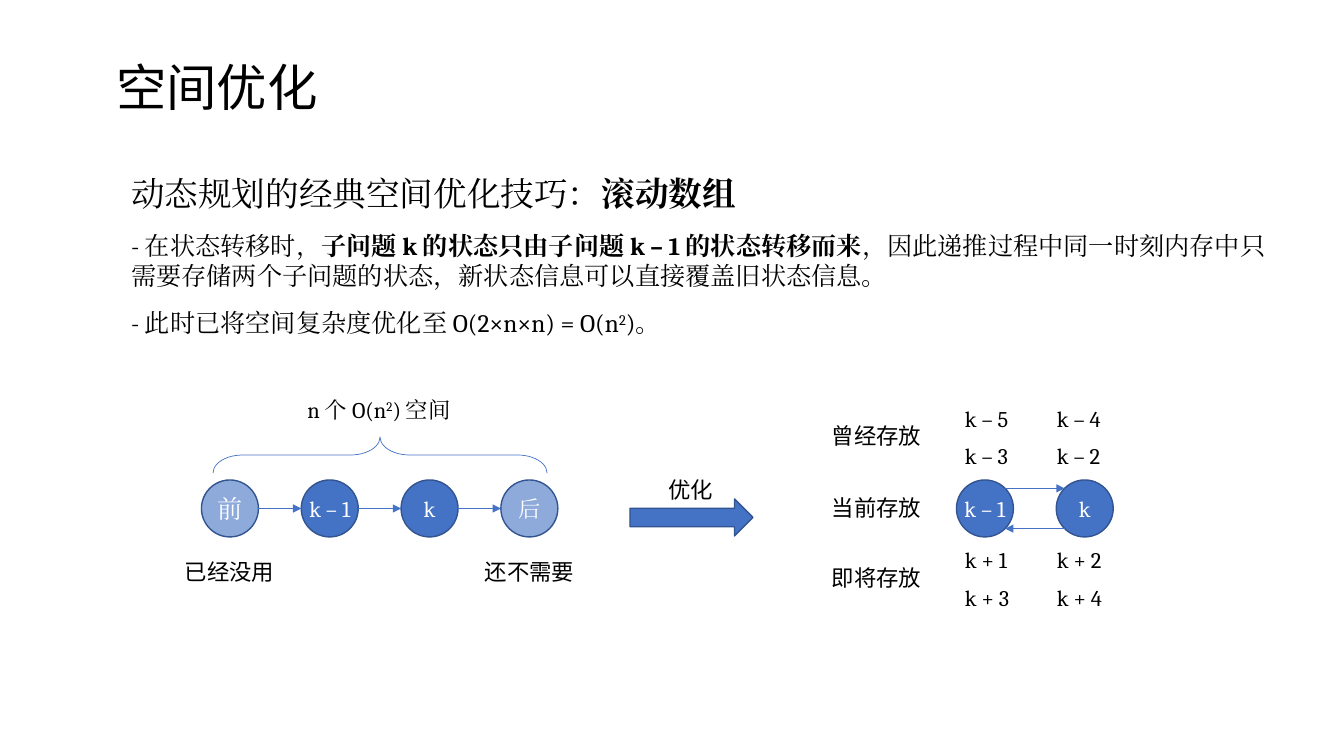
"""Build the slide on saving space with a rolling array."""
import math

import pptx
import pptx.chart.data
import pptx.dml.color
import pptx.enum.dml
import pptx.enum.shapes
import pptx.enum.text
import pptx.oxml
import pptx.oxml.ns
import pptx.util

SHAPE = pptx.enum.shapes.MSO_SHAPE
ALIGN = pptx.enum.text.PP_ALIGN
ANCHOR = pptx.enum.text.MSO_ANCHOR
NO_FIT = pptx.enum.text.MSO_AUTO_SIZE.NONE

THEME = {
    "serif": "Cambria", "sans": "Noto Sans CJK SC",
    "blue": "4472C4", "edge": "325491", "ink": "000000", "white": "FFFFFF",
    "title": 36, "heading": 24, "body": 18, "label": 16,
    "outline": 1, "thin": 0.5, "faded": 60000,
}

TITLE = "空间优化"
BODY = [
    ("heading", [("动态规划的经典空间优化技巧：", ""), ("滚动数组", "bold")]),
    ("body", [("- 在状态转移时，", ""),
              ("子问题 k 的状态只由子问题 k – 1 的状态转移而来", "bold"),
              ("，因此递推过程中同一时刻内存中只需要存储两个子问题的状态，新状态信息可以直接覆盖旧状态信息。", "")]),
    ("body", [("- 此时已将空间复杂度优化至 O(2×n×n) = O(n", ""), ("2", "super"), (")。", "")]),
]
SPACE_LABEL = [("n 个 O(n", ""), ("2", "super"), (") 空间", "")]
CHAIN = [("前", True, "body"), ("k – 1", False, "label"), ("k", False, "label"), ("后", True, "label")]
ROLLING = ["k – 1", "k"]
CAPTIONS = [("已经没用", 162, 553), ("还不需要", 462, 553), ("优化", 623, 471),
            ("曾经存放", 809, 417), ("当前存放", 809, 489), ("即将存放", 809, 559)]
STATES = [(400, ["k – 5", "k – 4"]), (437, ["k – 3", "k – 2"]),
          (541, ["k + 1", "k + 2"]), (579, ["k + 3", "k + 4"])]

PIXEL = 914400 / 100.8
DIAMETER = 57
NODE_TOP = 480
CHAIN_LEFT, ROLLING_LEFT, NODE_STEP = 201.5, 956.5, 99.8
STATE_LEFT, STATE_STEP = 955, 92
LABEL_HEIGHT = 37


def px(*values):
    return [pptx.util.Emu(round(value * PIXEL)) for value in values]


def rgb(name):
    return pptx.dml.color.RGBColor.from_string(THEME[name])


def write(para, spans, size, font="serif", color="ink", align=ALIGN.LEFT):
    para.alignment = align
    para.line_spacing = 1.0
    for text, style in spans:
        span = para.add_run()
        span.text = text
        span.font.size = pptx.util.Pt(THEME[size])
        span.font.name = THEME[font]
        span.font.color.rgb = rgb(color)
        span.font.bold = style == "bold"
        properties = span._r.get_or_add_rPr()
        east_asian = pptx.oxml.parse_xml(
            f'<a:ea {pptx.oxml.ns.nsdecls("a")} typeface="{THEME[font]}"/>')
        properties.find(pptx.oxml.ns.qn("a:latin")).addnext(east_asian)
        if style == "super":
            properties.set("baseline", "30000")


def place(shape, left, top, width, height):
    shape.left, shape.top, shape.width, shape.height = px(left, top, width, height)
    frame = shape.text_frame
    frame.auto_size = NO_FIT
    frame.word_wrap = True
    frame.vertical_anchor = ANCHOR.TOP
    return frame


def add_label(page, spans, left, top, width, font="serif", align=ALIGN.CENTER):
    box = page.shapes.add_textbox(*px(left, top, width, LABEL_HEIGHT))
    box.text_frame.word_wrap = True
    write(box.text_frame.paragraphs[0], spans, "label", font, align=align)


def add_block(page, kind, left, top, width, height):
    shape = page.shapes.add_shape(kind, *px(left, top, width, height))
    shape.shadow.inherit = False
    shape.fill.solid()
    shape.fill.fore_color.rgb = rgb("blue")
    shape.line.color.rgb = rgb("edge")
    shape.line.width = pptx.util.Pt(THEME["outline"])
    return shape


def add_node(page, text, left, faded=False, size="label"):
    node = add_block(page, SHAPE.OVAL, left, NODE_TOP, DIAMETER, DIAMETER)
    if faded:
        color = node.fill._xPr.find(".//" + pptx.oxml.ns.qn("a:srgbClr"))
        color.append(pptx.oxml.parse_xml(
            f'<a:alpha {pptx.oxml.ns.nsdecls("a")} val="{THEME["faded"]}"/>'))
    frame = node.text_frame
    frame.margin_left = frame.margin_right = 0
    frame.word_wrap = False
    frame.vertical_anchor = ANCHOR.MIDDLE
    write(frame.paragraphs[0], [(text, "")], size, color="white", align=ALIGN.CENTER)


def add_arrow(page, start, end, y):
    straight = pptx.enum.shapes.MSO_CONNECTOR.STRAIGHT
    arrow = page.shapes.add_connector(straight, *px(start, y, end, y))
    arrow.line.color.rgb = rgb("blue")
    arrow.line.width = pptx.util.Pt(THEME["thin"])
    namespace = pptx.oxml.ns.nsdecls("a")
    arrow.line._get_or_add_ln().append(
        pptx.oxml.parse_xml(f'<a:tailEnd {namespace} type="triangle"/>'))
    arrow._element.spPr.append(pptx.oxml.parse_xml(f"<a:effectLst {namespace}/>"))


def add_text(page):
    title = place(page.shapes.title, 106, 51, 268, 72)
    write(title.paragraphs[0], [(TITLE, "")], "title", "sans")
    body = place(page.placeholders[1], 121, 168, 1174, 176)
    for index, (size, spans) in enumerate(BODY):
        para = body.add_paragraph() if index else body.paragraphs[0]
        write(para, spans, size)
        para.space_before = para.space_after = pptx.util.Pt(6)
        properties = para._p.get_or_add_pPr()
        properties.set("marL", "0")
        properties.set("indent", "0")
        properties.append(pptx.oxml.parse_xml(f'<a:buNone {pptx.oxml.ns.nsdecls("a")}/>'))


def add_chain(page):
    middle = NODE_TOP + DIAMETER / 2
    for index, (text, faded, size) in enumerate(CHAIN):
        left = CHAIN_LEFT + index * NODE_STEP
        add_node(page, text, left, faded, size)
        if index:
            add_arrow(page, left - NODE_STEP + DIAMETER, left, middle)
    brace = page.shapes.add_shape(SHAPE.LEFT_BRACE, *px(362, 288, 36, 334))
    brace.shadow.inherit = False
    brace.rotation = 90
    brace.adjustments[0] = 0.82
    brace.fill.background()
    brace.line.color.rgb = rgb("blue")
    brace.line.width = pptx.util.Pt(THEME["thin"])
    add_label(page, SPACE_LABEL, 286, 391, 186)


def add_rolling(page):
    for index, text in enumerate(ROLLING):
        add_node(page, text, ROLLING_LEFT + index * NODE_STEP)
    radius = DIAMETER / 2
    reach = radius * math.sqrt(0.5)
    start = ROLLING_LEFT + radius + reach
    end = ROLLING_LEFT + NODE_STEP + radius - reach
    add_arrow(page, start, end, NODE_TOP + radius - reach)
    add_arrow(page, end, start, NODE_TOP + radius + reach)
    for top, row in STATES:
        for column, text in enumerate(row):
            add_label(page, [(text, "")], STATE_LEFT + column * STATE_STEP, top, 74,
                      align=ALIGN.LEFT)


deck = pptx.Presentation()
deck.slide_width, deck.slide_height = px(1344, 756)
page = deck.slides.add_slide(deck.slide_layouts[1])
add_text(page)
add_chain(page)
add_block(page, SHAPE.RIGHT_ARROW, 630, 499, 123, 37)
add_rolling(page)
for text, left, top in CAPTIONS:
    add_label(page, [(text, "")], left, top, 135, "sans")
deck.save("out.pptx")
